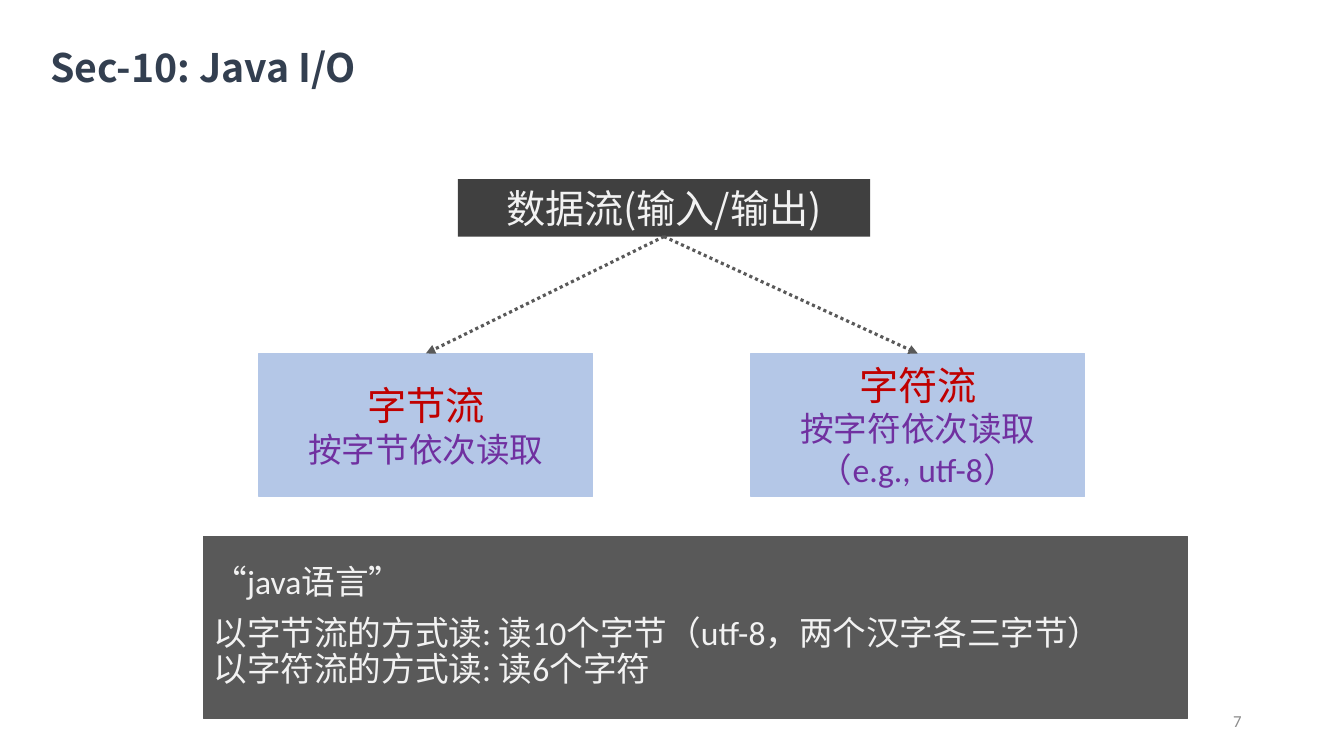
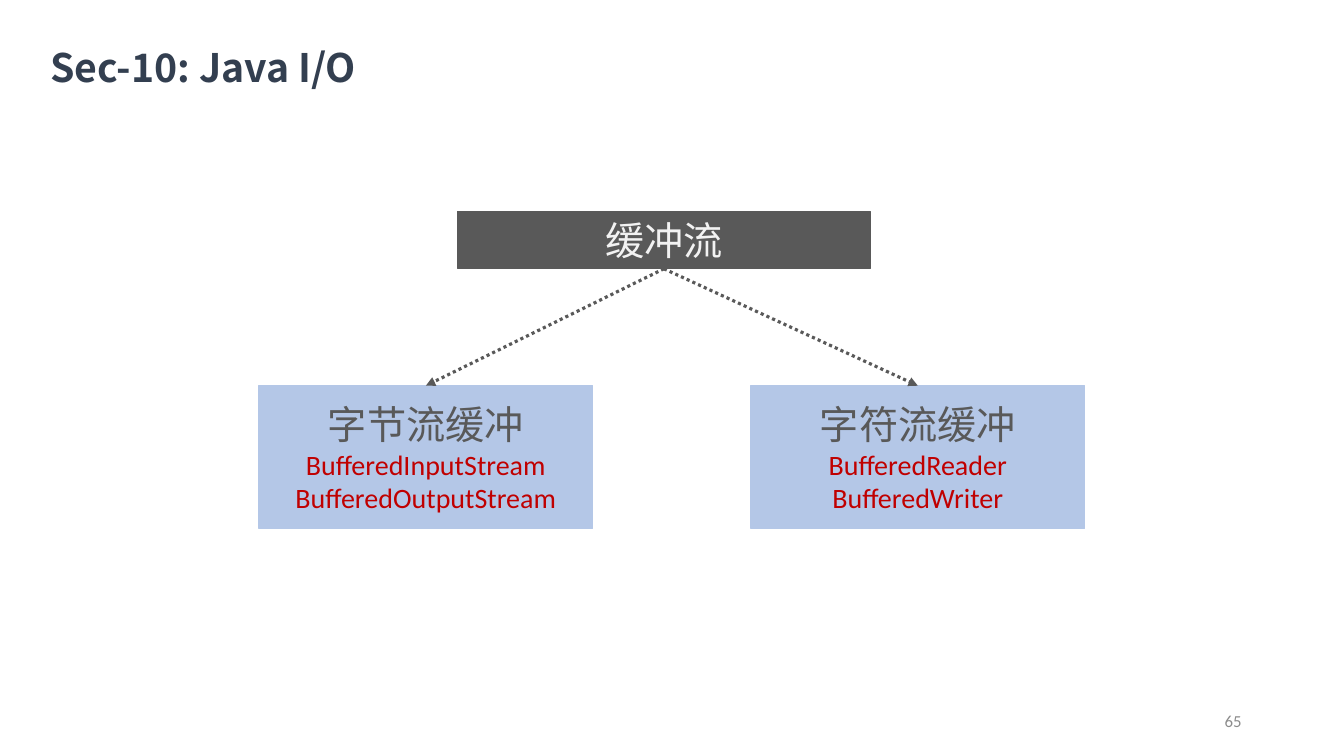
import pptx
import pptx.dml.color
import pptx.enum.dml
import pptx.enum.shapes
import pptx.enum.text
import pptx.oxml.ns
import pptx.util
from lxml import etree

Pt = pptx.util.Pt
ALIGN = pptx.enum.text.PP_ALIGN
ANCHOR = pptx.enum.text.MSO_ANCHOR
qn = pptx.oxml.ns.qn

COLORS = {
    "title": "333F50", "dark": "404040", "gray": "595959", "blue": "B4C7E7",
    "light": "F2F2F2", "red": "C00000", "purple": "7030A0", "number": "8C8C8C",
}
LATIN, CJK = "Calibri", "Noto Sans CJK SC"
TITLE = "Sec-10: Java I/O"

SLIDES = [
    {
        "number": "7",
        "top": 128,
        "root": ("数据流(输入/输出)", "dark", None),
        "heading_color": "red",
        "detail_style": (24, "purple"),
        "branches": [
            ("字节流", ["按字节依次读取"]),
            ("字符流", ["按字符依次读取（e.g., utf-8）"]),
        ],
        "note": [
            "“java语言”",
            "以字节流的方式读: 读10个字节（utf-8，两个汉字各三字节）",
            "以字符流的方式读: 读6个字符",
        ],
    },
    {
        "number": "65",
        "top": 151,
        "root": ("缓冲流", "gray", "gray"),
        "heading_color": "gray",
        "detail_style": (20, "red"),
        "branches": [
            ("字节流缓冲", ["BufferedInputStream", "BufferedOutputStream"]),
            ("字符流缓冲", ["BufferedReader", "BufferedWriter"]),
        ],
        "note": [],
    },
]

ROOT_LEFT, ROOT_WIDTH, ROOT_HEIGHT = 327, 294.5, 41
BRANCH_LEFT, BRANCH_STEP = 185, 351.4
BRANCH_WIDTH, BRANCH_HEIGHT = 238.4, 102.2
DROP = 83.5
NOTE_BOX = (145.4, 383, 702.8, 130.4)


def rgb(name):
    return pptx.dml.color.RGBColor.from_string(COLORS[name])


def style(paragraph, size, color, align=ALIGN.LEFT, font=LATIN, bold=False):
    paragraph.alignment = align
    paragraph.font.size = Pt(size)
    paragraph.font.bold = bold
    paragraph.font.name = font
    paragraph.font.color.rgb = rgb(color)
    properties = paragraph.font._element
    east_asian = etree.SubElement(properties, qn("a:ea"))
    east_asian.set("typeface", CJK)


def write(text_frame, lines, **options):
    text_frame.word_wrap = True
    text_frame.vertical_anchor = ANCHOR.MIDDLE
    for index, (text, size, color) in enumerate(lines):
        paragraph = text_frame.paragraphs[0] if index == 0 else text_frame.add_paragraph()
        paragraph.text = text
        style(paragraph, size, color, **options)


def add_box(slide, box, fill, line, width, lines, **options):
    shape = slide.shapes.add_shape(
        pptx.enum.shapes.MSO_SHAPE.RECTANGLE, *map(Pt, box))
    shape.shadow.inherit = False
    shape.fill.solid()
    shape.fill.fore_color.rgb = rgb(fill)
    if line:
        shape.line.color.rgb = rgb(line)
        shape.line.width = Pt(width)
    else:
        shape.line.fill.background()
    write(shape.text_frame, lines, **options)
    return shape


def add_arrow(slide, source, target):
    connector = slide.shapes.add_connector(
        pptx.enum.shapes.MSO_CONNECTOR.STRAIGHT, 0, 0, 0, 0)
    connector.begin_connect(source, 2)
    connector.end_connect(target, 0)
    connector.line.color.rgb = rgb("gray")
    connector.line.width = Pt(2.25)
    connector.line.dash_style = pptx.enum.dml.MSO_LINE.ROUND_DOT
    properties = connector._element.spPr
    etree.SubElement(properties.find(qn("a:ln")), qn("a:tailEnd")).set("type", "triangle")
    etree.SubElement(properties, qn("a:effectLst"))


def add_frame(slide, number):
    title = slide.shapes.title
    title.left, title.top, title.width, title.height = map(Pt, (36, 30.2, 466.6, 34.6))
    frame = title.text_frame
    frame.auto_size = pptx.enum.text.MSO_AUTO_SIZE.NONE
    frame.margin_left = frame.margin_top = frame.margin_right = frame.margin_bottom = 0
    write(frame, [(TITLE, 28, "title")], font=CJK, bold=True)
    number_box = slide.shapes.add_textbox(*map(Pt, (678, 500.4, 216, 28.8)))
    write(number_box.text_frame, [(number, 12, "number")], align=ALIGN.RIGHT)


def add_tree(slide, content):
    top = content["top"]
    text, fill, line = content["root"]
    root = add_box(slide, (ROOT_LEFT, top, ROOT_WIDTH, ROOT_HEIGHT), fill, line, 0.75,
                   [(text, 28, "light")], align=ALIGN.CENTER, font=CJK)
    for index, (heading, details) in enumerate(content["branches"]):
        lines = [(heading, 28, content["heading_color"])]
        lines += [(detail, *content["detail_style"]) for detail in details]
        box = (BRANCH_LEFT + index * BRANCH_STEP, top + ROOT_HEIGHT + DROP,
               BRANCH_WIDTH, BRANCH_HEIGHT)
        branch = add_box(slide, box, "blue", "blue", 1, lines, align=ALIGN.CENTER)
        add_arrow(slide, root, branch)


def add_note(slide, lines):
    note = add_box(slide, NOTE_BOX, "gray", "gray", 0.75,
                   [(line, 24, "light") for line in lines])
    paragraphs = note.text_frame.paragraphs
    for paragraph in paragraphs:
        paragraph.line_spacing = 0.9
    paragraphs[1].space_before = Pt(10.5)


def main():
    presentation = pptx.Presentation()
    presentation.slide_width, presentation.slide_height = Pt(960), Pt(540)
    for content in SLIDES:
        slide = presentation.slides.add_slide(presentation.slide_layouts[5])
        add_frame(slide, content["number"])
        add_tree(slide, content)
        if content["note"]:
            add_note(slide, content["note"])
    presentation.save("out.pptx")


if __name__ == "__main__":
    main()
